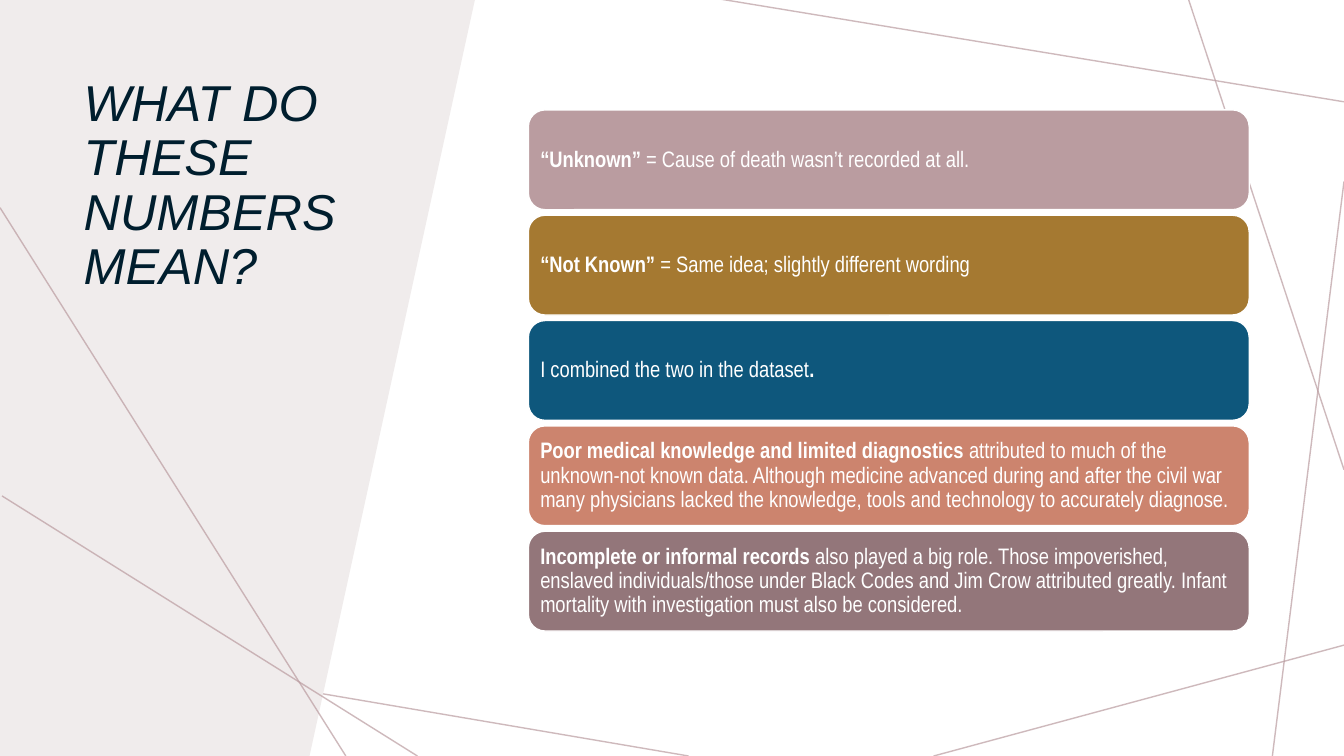
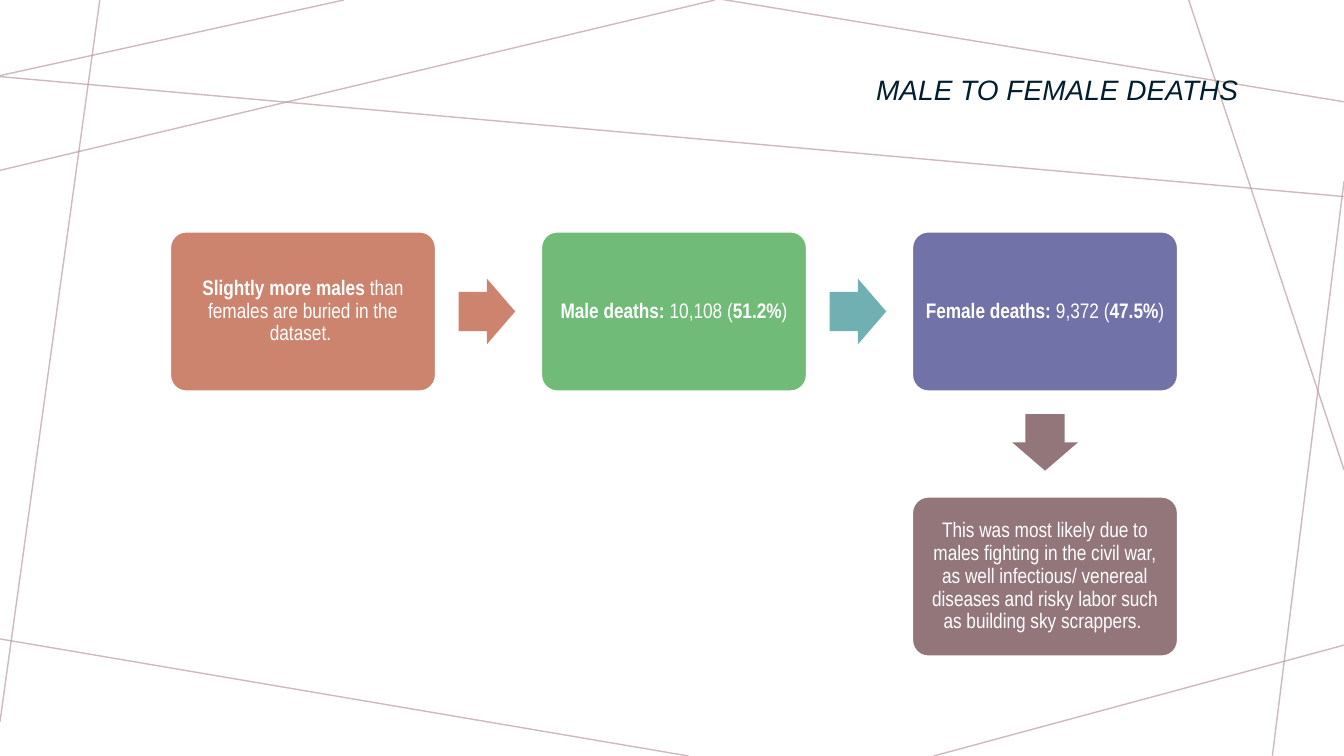
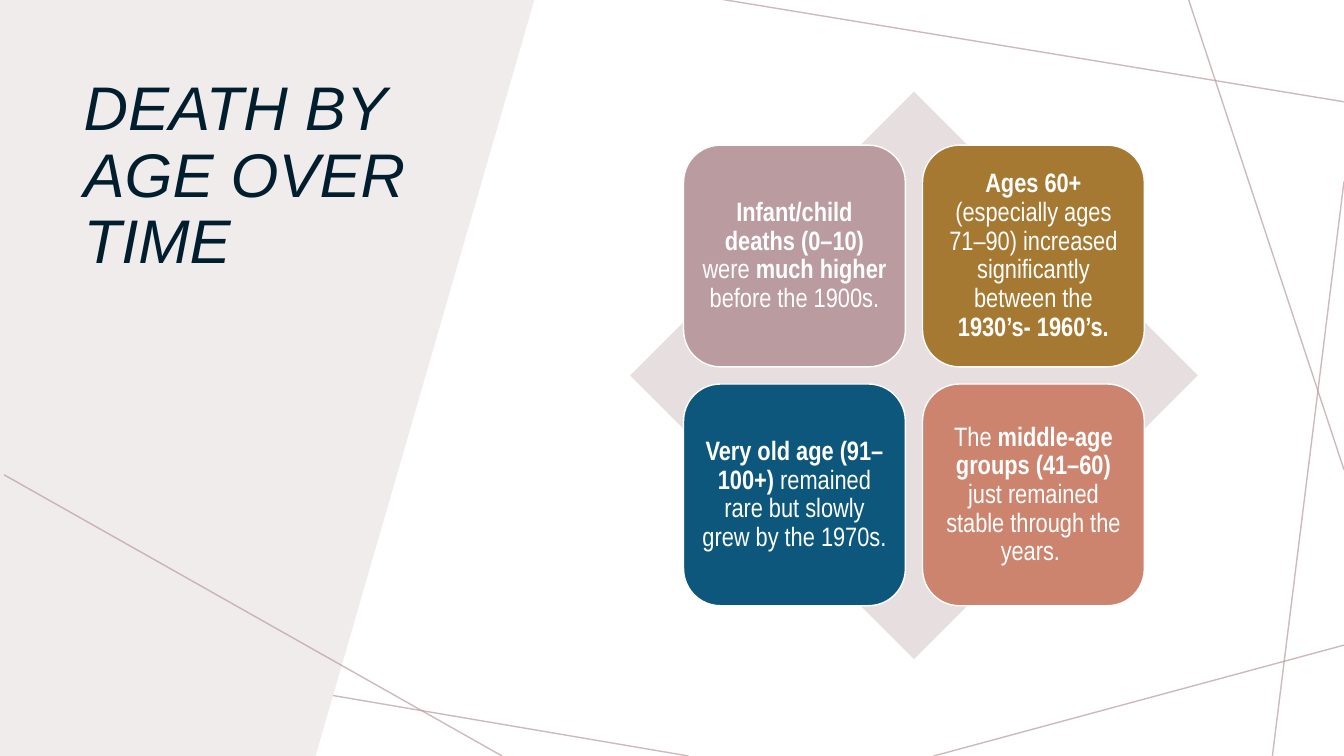
from lxml.etree import SubElement
from pptx import Presentation
from pptx.dml.color import RGBColor
from pptx.enum.shapes import MSO_CONNECTOR, MSO_SHAPE
from pptx.enum.text import MSO_ANCHOR, MSO_AUTO_SIZE, PP_ALIGN
from pptx.oxml.ns import qn
from pptx.util import Inches, Pt

ROUND, ARROW, DIAMOND = MSO_SHAPE.ROUNDED_RECTANGLE, MSO_SHAPE.RIGHT_ARROW, MSO_SHAPE.DIAMOND
STRAIGHT = MSO_CONNECTOR.STRAIGHT
TOP, MIDDLE = MSO_ANCHOR.TOP, MSO_ANCHOR.MIDDLE
LEFT, CENTER, RIGHT = PP_ALIGN.LEFT, PP_ALIGN.CENTER, PP_ALIGN.RIGHT
FIXED = MSO_AUTO_SIZE.NONE

WIDE, HIGH = 13.33, 7.5
HEAD, BODY = "Arial", "Arial Narrow"
HUES = {
    "ink": "001E2E", "white": "FFFFFF", "band": "F0ECEC", "pale": "E7DEDF",
    "rose": "BA9CA0", "gold": "A57931", "blue": "0E577C", "coral": "CC846E",
    "mauve": "93767A", "green": "6FBB77", "teal": "70AFB2", "violet": "7172A8",
}
NET = [
    (3.41, 0, 0, 0.75), (0.99, 0, 0, 7.16), (6.83, HIGH, -0.05, 6.33),
    (WIDE, 6.4, 9.26, HIGH), (WIDE, 1.8, 12.62, HIGH),
    (WIDE, 4.66, 11.79, 0), (WIDE, 1.01, 7.14, -0.01),
]


def hue(name):
    """Return the named colour."""
    return RGBColor.from_string(HUES[name])


def write(shape, text, size, font=BODY, color="white", italic=False,
          align=CENTER, anchor=MIDDLE, inset=None):
    """Fill a shape with text, where *stars* enclose bold words."""
    frame = shape.text_frame
    frame.word_wrap = True
    frame.auto_size = FIXED
    frame.vertical_anchor = anchor
    if inset is not None:
        frame.margin_left = frame.margin_right = Inches(inset)
        frame.margin_top = frame.margin_bottom = Inches(inset)
    para = frame.paragraphs[0]
    para.alignment = align
    para.line_spacing = 0.9
    for spot, part in enumerate(text.split("*")):
        if part:
            run = para.add_run()
            run.text = part
            run.font.name, run.font.size = font, Pt(size)
            run.font.bold, run.font.italic = spot % 2 == 1, italic
            run.font.color.rgb = hue(color)


def paint(shape, fill, edge=None):
    """Set fill and outline and drop the shadow."""
    shape.shadow.inherit = False
    shape.fill.solid()
    shape.fill.fore_color.rgb = hue(fill)
    if edge:
        shape.line.color.rgb = hue(edge)
        shape.line.width = Pt(1)
    else:
        shape.line.fill.background()


def form(slide, kind, x, y, w, h, fill, edge=None):
    """Add a painted preset shape."""
    shape = slide.shapes.add_shape(kind, Inches(x), Inches(y), Inches(w), Inches(h))
    paint(shape, fill, edge)
    return shape


def card(slide, x, y, w, h, fill, text, size, inset, align=CENTER, curve=None):
    """Add a rounded card with text."""
    shape = form(slide, ROUND, x, y, w, h, fill, "white")
    if curve:
        shape.adjustments[0] = curve
    write(shape, text, size, align=align, inset=inset)


def arrow(slide, x, y, fill, turn=0):
    """Add a block arrow centred on a point."""
    w, h = 0.56, 0.65
    shape = form(slide, ARROW, x - w / 2, y - h / 2, w, h, fill)
    shape.adjustments[0], shape.adjustments[1] = 0.6, 0.5
    shape.rotation = turn


def thread(slide, ends):
    """Add a thin translucent line."""
    line = slide.shapes.add_connector(STRAIGHT, *map(Inches, ends))
    line.line.color.rgb = hue("rose")
    line.line.width = Pt(1)
    for tint in line.element.iter(qn("a:srgbClr")):
        SubElement(tint, qn("a:alpha")).set("val", "70000")
    SubElement(line.element.spPr, qn("a:effectLst"))
    return line


def weave(slide):
    """Move the shared net of lines to the layout of the slide."""
    for spot, ends in enumerate(NET):
        item = thread(slide, ends).element
        item.nvCxnSpPr.cNvPr.id = 100 + spot
        slide.slide_layout.shapes.element.append(item)


def band(slide, top, foot):
    """Add the slanted panel at the left."""
    pen = slide.shapes.build_freeform(Inches(foot), Inches(HIGH))
    pen.add_line_segments([(0, Inches(HIGH)), (0, 0), (Inches(top), 0)], close=True)
    paint(pen.convert_to_shape(), "band")


def head(slide, box, text, size, align=LEFT, anchor=TOP):
    """Place the title in its box, above the panel."""
    title = slide.shapes.title
    title.left, title.top, title.width, title.height = map(Inches, box)
    write(title, text, size, font=HEAD, color="ink", italic=True,
          align=align, anchor=anchor)
    slide.shapes.element.append(title.element)


def stack(slide, x, y, w, h, items):
    """Stack equal cards down a box."""
    tall = 0.99
    step = (h - tall) / (len(items) - 1)
    for row, (fill, text) in enumerate(items):
        card(slide, x, y + row * step, w, tall, fill, text, 16, 0.07, LEFT)


def flow(slide, x, y, items, arrows):
    """Chain cards to the right, with the last one below."""
    w, h, gap, lead = 2.63, 1.58, 1.05, 0.51
    last = len(items) - 1
    for spot, (fill, text) in enumerate(items):
        col, row = min(spot, last - 1), spot // last
        left, top = x + col * (w + gap), y + row * (h + gap)
        card(slide, left, top, w, h, fill, text, 15, 0.06, curve=0.1)
        if spot < last - 1:
            arrow(slide, left + w + lead, top + h / 2, arrows[spot])
        elif spot < last:
            arrow(slide, left + w / 2, top + h + lead, arrows[spot], 90)


def matrix(slide, x, y, side, items):
    """Centre a two by two grid of cards on a diamond."""
    form(slide, DIAMOND, x, y, side, side, "pale")
    cell, gap = 2.2, 0.17
    edge = (side - 2 * cell - gap) / 2
    for spot, (fill, text) in enumerate(items):
        row, col = divmod(spot, 2)
        card(slide, x + edge + col * (cell + gap), y + edge + row * (cell + gap),
             cell, cell, fill, text, 19, 0.08)


def terms(slide):
    """Build the slide that explains the numbers."""
    band(slide, 4.71, 3.07)
    head(slide, (0.73, 0.72, 3.24, 3.19), "WHAT DO THESE NUMBERS MEAN?", 36)
    thread(slide, (4.14, HIGH, 0.02, 4.92))
    thread(slide, (0, 2.06, 3.43, HIGH))
    stack(slide, 5.24, 1.09, 7.15, 5.17, [
        ("rose", "*“Unknown”* = Cause of death wasn’t recorded at all."),
        ("gold", "*“Not Known”* = Same idea; slightly different wording"),
        ("blue", "I combined the two in the dataset*.*"),
        ("coral", "*Poor medical knowledge and limited diagnostics *attributed to much of "
                  "the unknown-not known data. Although medicine advanced during and after "
                  "the civil war many physicians lacked the knowledge, tools and technology "
                  "to accurately diagnose."),
        ("mauve", "*Incomplete or informal records *also played a big role. Those "
                  "impoverished, enslaved individuals/those under Black Codes and Jim Crow "
                  "attributed greatly. Infant mortality with investigation must also be "
                  "considered."),
    ])


def sexes(slide):
    """Build the slide on male and female deaths."""
    thread(slide, (0, 1.69, 7.09, 0))
    thread(slide, (0, 0.76, WIDE, 1.95))
    head(slide, (5.53, 0.47, 6.93, 0.88), "MALE TO FEMALE DEATHS ", 20, RIGHT, MIDDLE)
    flow(slide, 1.69, 2.3, [
        ("coral", "*Slightly more males* than females are buried in the dataset. "),
        ("green", "*Male deaths:* 10,108 (*51.2%*)"),
        ("violet", "*Female deaths:* 9,372 (*47.5%*)"),
        ("mauve", "This was most likely due to males fighting in the civil war, as well "
                  "infectious/ venereal diseases and risky labor such as building sky "
                  "scrappers. "),
    ], ["coral", "teal", "mauve"])


def ages(slide):
    """Build the slide on deaths by age."""
    band(slide, 5.3, 3.13)
    head(slide, (0.73, 0.72, 3.53, 3.9), "DEATH BY AGE OVER TIME", 44)
    thread(slide, (0.04, 4.71, 4.98, HIGH))
    matrix(slide, 6.25, 0.91, 5.63, [
        ("rose", "*Infant/child deaths (0–10)* were *much higher* before the 1900s."),
        ("gold", "*Ages 60+* (especially ages 71–90) increased significantly between the "
                 "*1930’s- 1960’s.*"),
        ("blue", "*Very old age (91–100+)* remained rare but slowly grew by the 1970s."),
        ("coral", "The *middle-age groups (41–60)* just remained stable through the years. "),
    ])


def main():
    """Build and save the deck."""
    deck = Presentation()
    deck.slide_width, deck.slide_height = Inches(WIDE), Inches(HIGH)
    plain = deck.slide_layouts[5]
    for spot, build in enumerate((terms, sexes, ages)):
        slide = deck.slides.add_slide(plain)
        if spot == 0:
            weave(slide)
        build(slide)
    deck.save("out.pptx")


if __name__ == "__main__":
    main()
